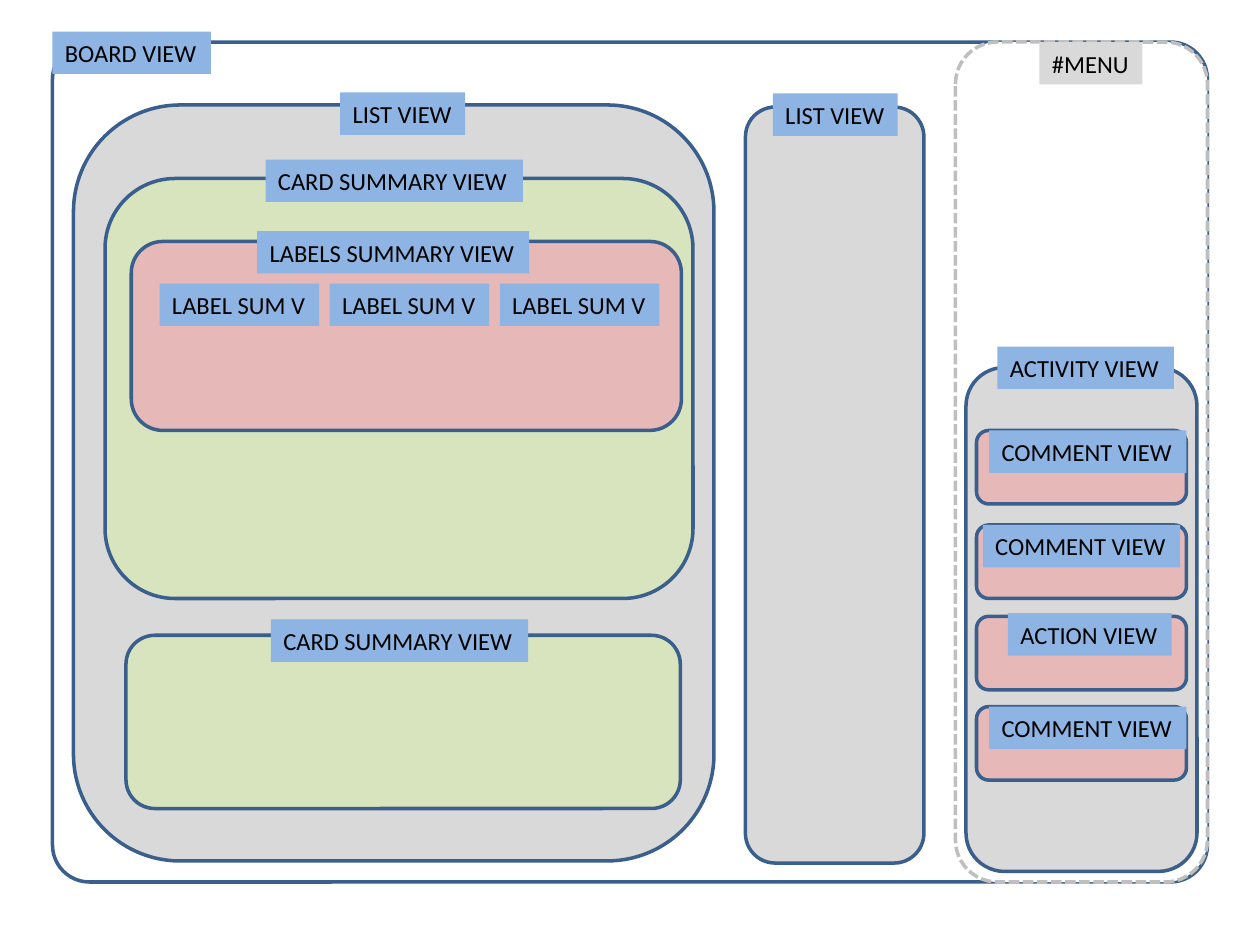
from pptx import Presentation
from pptx.dml.color import RGBColor
from pptx.enum.dml import MSO_LINE_DASH_STYLE as Dash
from pptx.enum.shapes import MSO_SHAPE as Shape
from pptx.enum.text import MSO_AUTO_SIZE as AutoSize, PP_ALIGN as Align
from pptx.util import Inches, Pt

COLUMNS, ROWS = 120, 90
GREY, GREEN, PINK, BLUE = "D9D9D9", "D7E4BD", "E6B9B8", "8EB4E3"
TAG_HEIGHT = 4.04
TAG_WIDTHS = {
    "BOARD VIEW": 15.1, "LIST VIEW": 11.9, "CARD SUMMARY VIEW": 24.5,
    "LABELS SUMMARY VIEW": 25.9, "LABEL SUM V": 15.2, "#MENU": 9.8,
    "ACTIVITY VIEW": 16.8, "COMMENT VIEW": 18.8, "ACTION VIEW": 15.6,
}
TAG_FONT = {"name": "Calibri", "size": Pt(14)}

presentation = Presentation()
presentation.slide_width, presentation.slide_height = Inches(10), Inches(7.5)
slide = presentation.slides.add_slide(presentation.slide_layouts[6])
column = presentation.slide_width / COLUMNS
row = presentation.slide_height / ROWS


def paint(color_format, color):
    color_format.rgb = RGBColor.from_string(color)


def place(kind, left, top, width, height, fill=None):
    shape = slide.shapes.add_shape(
        kind, round(left * column), round(top * row),
        round(width * column), round(height * row))
    shape.shadow.inherit = False
    if fill:
        shape.fill.solid()
        paint(shape.fill.fore_color, fill)
    else:
        shape.fill.background()
    return shape


# Nested views, back to front: left, top, width, height, fill
views = [
    (7, 10, 61, 72, GREY),           # first list
    (5, 4, 110, 80, None),           # board
    (10, 17, 56, 40, GREEN),         # first card
    (91, 4, 24, 80, "FFFFFF"),       # menu
    (12, 60.5, 52.8, 16.5, GREEN),   # second card
    (92, 35, 22, 48, GREY),          # activity
    (12.5, 23, 52.4, 18, PINK),      # labels
    (71, 10.2, 17, 72, GREY),        # second list
]
views += [(93, top, 20, 7, PINK) for top in (41, 50, 58.7, 67.3)]

for left, top, width, height, fill in views:
    view = place(Shape.ROUNDED_RECTANGLE, left, top, width, height, fill)
    view.line.width = Pt(2)
    is_menu = fill == "FFFFFF"
    paint(view.line.color, "BFBFBF" if is_menu else "3A5F8C")
    if is_menu:
        view.line.dash_style = Dash.SQUARE_DOT
    if fill is None:
        view.adjustments[0] = 0.044

# Name tags: text, left, top
tags = [
    ("BOARD VIEW", 5, 3),
    ("LIST VIEW", 32.4, 8.8),
    ("LIST VIEW", 73.6, 8.9),
    ("CARD SUMMARY VIEW", 25.3, 15.2),
    ("CARD SUMMARY VIEW", 25.8, 59),
    ("LABELS SUMMARY VIEW", 24.5, 22),
    ("#MENU", 99, 4),
    ("ACTIVITY VIEW", 95, 33),
    ("COMMENT VIEW", 94.2, 41),
    ("COMMENT VIEW", 93.6, 50),
    ("ACTION VIEW", 96, 58.4),
    ("COMMENT VIEW", 94.2, 67.3),
]
tags += [("LABEL SUM V", 15.2 + 16.2 * index, 27) for index in range(3)]

for text, left, top in tags:
    fill = GREY if text == "#MENU" else BLUE
    tag = place(Shape.RECTANGLE, left, top, TAG_WIDTHS[text], TAG_HEIGHT, fill)
    tag.line.fill.background()
    frame = tag.text_frame
    frame.word_wrap = False
    frame.auto_size = AutoSize.SHAPE_TO_FIT_TEXT
    paragraph = frame.paragraphs[0]
    paragraph.alignment = Align.LEFT
    run = paragraph.add_run()
    run.text = text
    for name, value in TAG_FONT.items():
        setattr(run.font, name, value)
    paint(run.font.color, "000000")

presentation.save("out.pptx")
